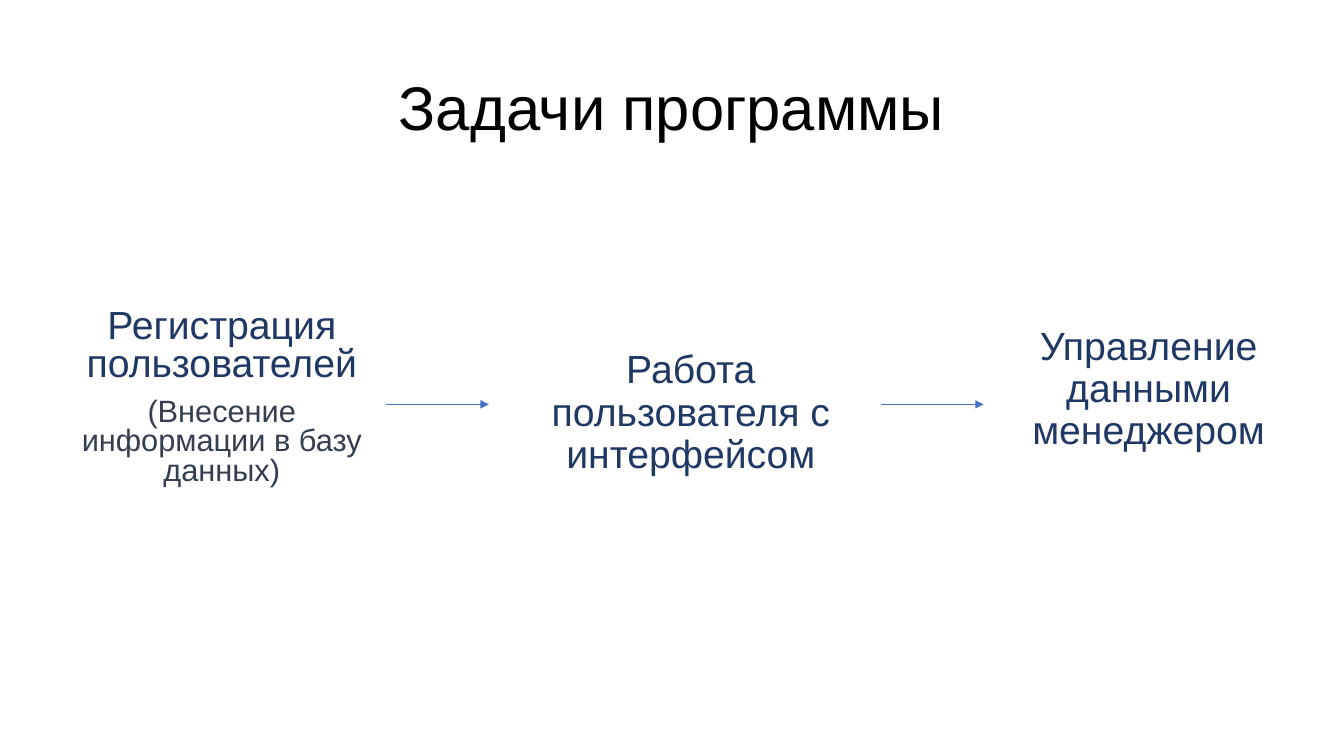
from dataclasses import dataclass

from lxml import etree
from pptx import Presentation
from pptx import util as u
from pptx.dml.color import RGBColor
from pptx.enum import shapes, text
from pptx.oxml.ns import qn

BLACK = RGBColor(0x00, 0x00, 0x00)
NAVY = RGBColor(0x20, 0x38, 0x64)
SLATE = RGBColor(0x33, 0x3F, 0x50)
BLUE = RGBColor(0x44, 0x72, 0xC4)
FONT = "Arial"
ARROW_Y = u.Cm(10.19)
ARROW_LENGTH = u.Cm(2.59)


@dataclass
class Line:
    text: str
    size: int = 28
    color: RGBColor = NAVY


@dataclass
class Block:
    left: float
    top: float
    width: float
    height: float
    lines: list[Line]
    spacing: float = 0.9
    before: int = 10
    anchor: text.MSO_ANCHOR = text.MSO_ANCHOR.TOP


def add_line(p, line: Line, *, spacing: float, before: int) -> None:
    p.alignment = text.PP_ALIGN.CENTER
    p.line_spacing = spacing
    p.space_before = u.Pt(before)
    r = p.add_run()
    r.text = line.text
    r.font.name = FONT
    r.font.size = u.Pt(line.size)
    r.font.color.rgb = line.color


def add_block(s, block: Block) -> None:
    sp = s.shapes.add_textbox(u.Cm(block.left), u.Cm(block.top),
                              u.Cm(block.width), u.Cm(block.height))
    tf = sp.text_frame
    tf.word_wrap = True
    tf.vertical_anchor = block.anchor
    for i, line in enumerate(block.lines):
        p = tf.add_paragraph() if i else tf.paragraphs[0]
        add_line(p, line, spacing=block.spacing, before=block.before)


def add_arrow(s, left: float) -> None:
    x = u.Cm(left)
    sp = s.shapes.add_connector(shapes.MSO_CONNECTOR.STRAIGHT,
                                x, ARROW_Y, x + ARROW_LENGTH, ARROW_Y)
    sp.line.color.rgb = BLUE
    sp.line.width = u.Pt(0.5)
    etree.SubElement(sp.line._get_or_add_ln(), qn("a:tailEnd"), type="triangle")
    etree.SubElement(sp._element.spPr, qn("a:effectLst"))


TITLE = Block(9.07, 0.94, 15.72, 3.68, [Line("Задачи программы", 44, BLACK)],
              before=0, anchor=text.MSO_ANCHOR.MIDDLE)
STEPS = [
    Block(1.45, 7.67, 8.28, 5.03,
          [Line("Регистрация пользователей"),
           Line("(Внесение информации в базу данных)", 22, SLATE)], spacing=0.8),
    Block(12.62, 8.69, 9.58, 2.97, [Line("Работа пользователя с интерфейсом")]),
    Block(25.12, 8.1, 7.65, 4.6, [Line("Управление данными менеджером")]),
]

prs = Presentation()
prs.slide_width, prs.slide_height = u.Cm(33.87), u.Cm(19.05)
s = prs.slides.add_slide(prs.slide_layouts[6])

# Title and the three steps
for block in [TITLE, *STEPS]:
    add_block(s, block)

# An arrow from the right edge of each step but the last
for step in STEPS[:-1]:
    add_arrow(s, step.left + step.width)

prs.save("out.pptx")
